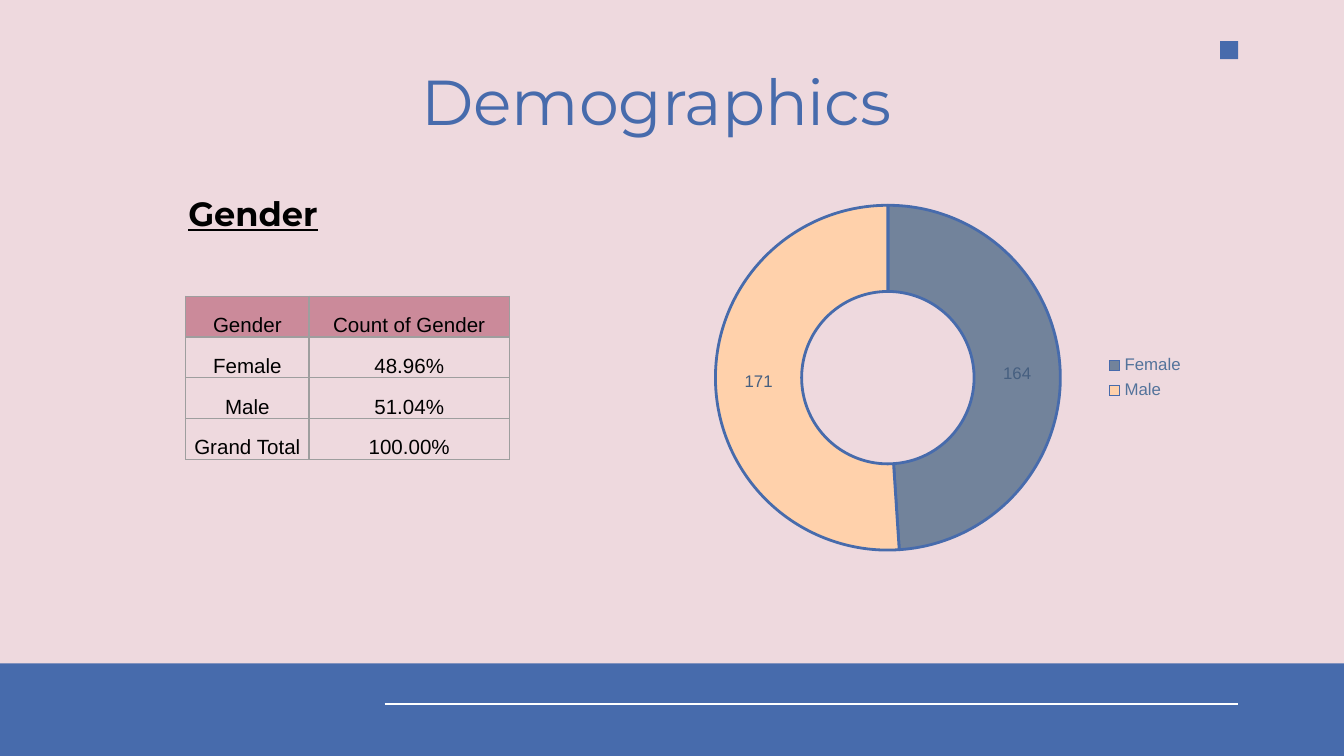
from lxml.etree import SubElement
from pptx import Presentation
from pptx.chart.data import CategoryChartData
from pptx.dml.color import RGBColor
from pptx.enum.chart import XL_CHART_TYPE as ChartType, XL_LEGEND_POSITION as LegendPosition
from pptx.enum.shapes import MSO_CONNECTOR as Connector, MSO_SHAPE as Shape
from pptx.enum.text import MSO_ANCHOR as Anchor, PP_ALIGN as Align
from pptx.oxml.ns import qn
from pptx.util import Cm, Pt

COLORS = {
    "background": "EED9DE",
    "blue": "476BAC",
    "white": "FFFFFF",
    "black": "000000",
    "header": "CB8A9A",
    "border": "9E9E9E",
    "chart_text": "212D3D",
    "legend": "54739B",
    "label": "465F80",
    "female": "72839B",
    "male": "FFD1AB",
}


def color(name):
    return RGBColor.from_string(COLORS[name])


class SlideBuilder:
    """Holds the shared style and the slide being built."""

    heading_font = "Montserrat"
    body_font = "Arial"

    def __init__(self, slide):
        self.slide = slide
        self.shapes = slide.shapes
        slide.background.fill.solid()
        slide.background.fill.fore_color.rgb = color("background")

    def format_font(self, font, color_name, **values):
        font.color.rgb = color(color_name)
        for name, value in values.items():
            setattr(font, name, value)

    def rectangle(self, left, top, width, height, fill):
        shape = self.shapes.add_shape(Shape.RECTANGLE, Cm(left), Cm(top), Cm(width), Cm(height))
        shape.shadow.inherit = False
        shape.fill.solid()
        shape.fill.fore_color.rgb = color(fill)
        shape.line.fill.background()

    def line(self, left, right, y, color_name, width):
        connector = self.shapes.add_connector(Connector.STRAIGHT, Cm(left), Cm(y), Cm(right), Cm(y))
        connector.line.color.rgb = color(color_name)
        connector.line.width = Pt(width)
        SubElement(connector._element.spPr, qn("a:effectLst"))

    def text(self, left, top, width, height, text, color_name, frame_format, align, **font):
        box = self.shapes.add_textbox(Cm(left), Cm(top), Cm(width), Cm(height))
        frame = box.text_frame
        for name, value in frame_format.items():
            setattr(frame, name, value)
        paragraph = frame.paragraphs[0]
        paragraph.alignment = align
        run = paragraph.add_run()
        run.text = text
        self.format_font(run.font, color_name, name=self.heading_font, **font)

    def cell_borders(self, cell):
        properties = cell._tc.get_or_add_tcPr()
        for position, side in enumerate(("a:lnL", "a:lnR", "a:lnT", "a:lnB")):
            border = SubElement(properties, qn(side), w=str(Pt(0.75)))
            fill = SubElement(border, qn("a:solidFill"))
            SubElement(fill, qn("a:srgbClr"), val=COLORS["border"])
            properties.insert(position, border)

    def table(self, left, top, column_widths, row_height, rows):
        table = self.shapes.add_table(
            len(rows), len(column_widths), Cm(left), Cm(top),
            Cm(sum(column_widths)), Cm(row_height * len(rows)),
        ).table
        table.first_row = table.horz_banding = False
        for column, width in zip(table.columns, column_widths):
            column.width = Cm(width)
        cell_format = {
            "vertical_anchor": Anchor.BOTTOM,
            "margin_left": Cm(0.03),
            "margin_right": Cm(0.03),
            "margin_top": Cm(0.03),
            "margin_bottom": 0,
        }
        for row_index, values in enumerate(rows):
            table.rows[row_index].height = Cm(row_height)
            for column_index, value in enumerate(values):
                cell = table.cell(row_index, column_index)
                for name, setting in cell_format.items():
                    setattr(cell, name, setting)
                if row_index == 0:
                    cell.fill.solid()
                    cell.fill.fore_color.rgb = color("header")
                else:
                    cell.fill.background()
                self.cell_borders(cell)
                paragraph = cell.text_frame.paragraphs[0]
                paragraph.alignment = Align.CENTER
                run = paragraph.add_run()
                run.text = value
                self.format_font(run.font, "black", name=self.body_font, size=Pt(11))

    def doughnut(self, left, top, width, height, values, fills):
        data = CategoryChartData()
        data.categories = list(values)
        data.add_series("Series 1", list(values.values()))
        chart = self.shapes.add_chart(
            ChartType.DOUGHNUT, Cm(left), Cm(top), Cm(width), Cm(height), data
        ).chart
        chart.has_title = False
        self.format_font(chart.font, "chart_text", name=self.body_font, size=Pt(10))

        # Legend
        chart.has_legend = True
        chart.legend.position = LegendPosition.RIGHT
        chart.legend.include_in_layout = False
        self.format_font(chart.legend.font, "legend", name=self.body_font, size=Pt(9))

        # Ring segments
        plot = chart.plots[0]
        plot.vary_by_categories = True
        plot._element.find(qn("c:holeSize")).set("val", "75")
        for index, fill in enumerate(fills):
            segment = plot.series[0].points[index].format
            segment.fill.solid()
            segment.fill.fore_color.rgb = color(fill)
            segment.line.color.rgb = color("blue")
            segment.line.width = Pt(1.5)

        # Value labels
        labels = plot.series[0].data_labels
        label_format = {"show_value": True, "show_percentage": False, "show_legend_key": False}
        for name, value in label_format.items():
            setattr(labels, name, value)
        self.format_font(labels.font, "label", name=self.body_font, size=Pt(9))


def main():
    presentation = Presentation()
    presentation.slide_width = Cm(25.4)
    presentation.slide_height = Cm(14.29)
    builder = SlideBuilder(presentation.slides.add_slide(presentation.slide_layouts[6]))

    # Footer band and corner accent
    builder.rectangle(0, 12.54, 25.4, 1.75, "blue")
    builder.line(7.27, 23.4, 13.31, "white", 0.75)
    builder.rectangle(23.06, 0.78, 0.34, 0.34, "blue")

    # Title
    title_format = {"word_wrap": True, "vertical_anchor": Anchor.TOP}
    for side in ("left", "right", "top", "bottom"):
        title_format[f"margin_{side}"] = Cm(0.25)
    builder.text(7.06, 0.92, 10.7, 1.6, "Demographics", "blue", title_format,
                 Align.CENTER, size=Pt(34))

    # Gender chart
    builder.doughnut(12.7, 3.53, 9.93, 7.22, {"Female": 164, "Male": 171}, ("female", "male"))

    # Gender table
    builder.table(3.51, 5.6, (2.33, 3.79), 0.77, (
        ("Gender", "Count of Gender"),
        ("Female", "48.96%"),
        ("Male", "51.04%"),
        ("Grand Total", "100.00%"),
    ))
    builder.text(3.31, 3.53, 3.25, 1.02, "Gender", "black", {"word_wrap": True},
                 Align.LEFT, size=Pt(18), bold=True, underline=True)

    presentation.save("out.pptx")


if __name__ == "__main__":
    main()
